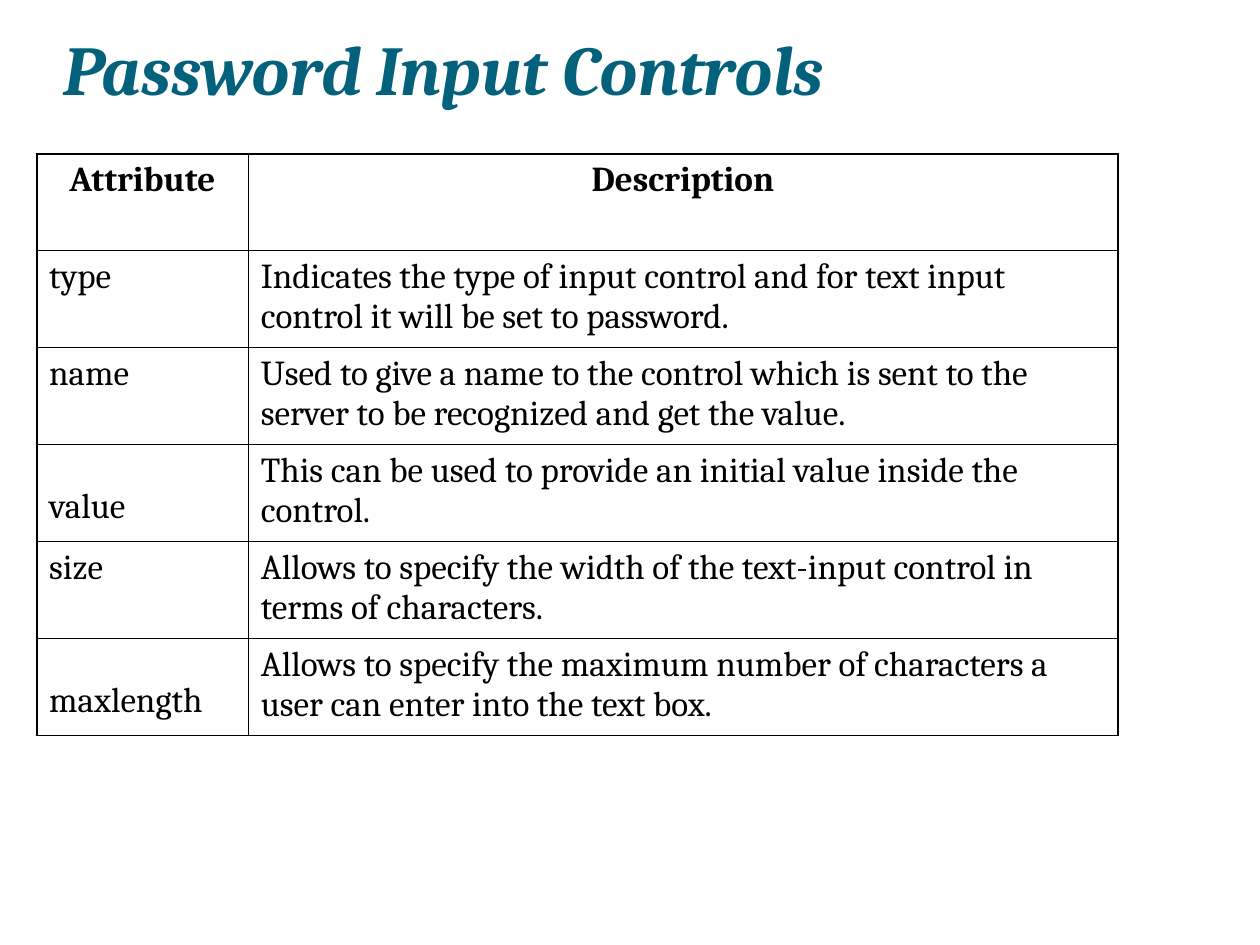
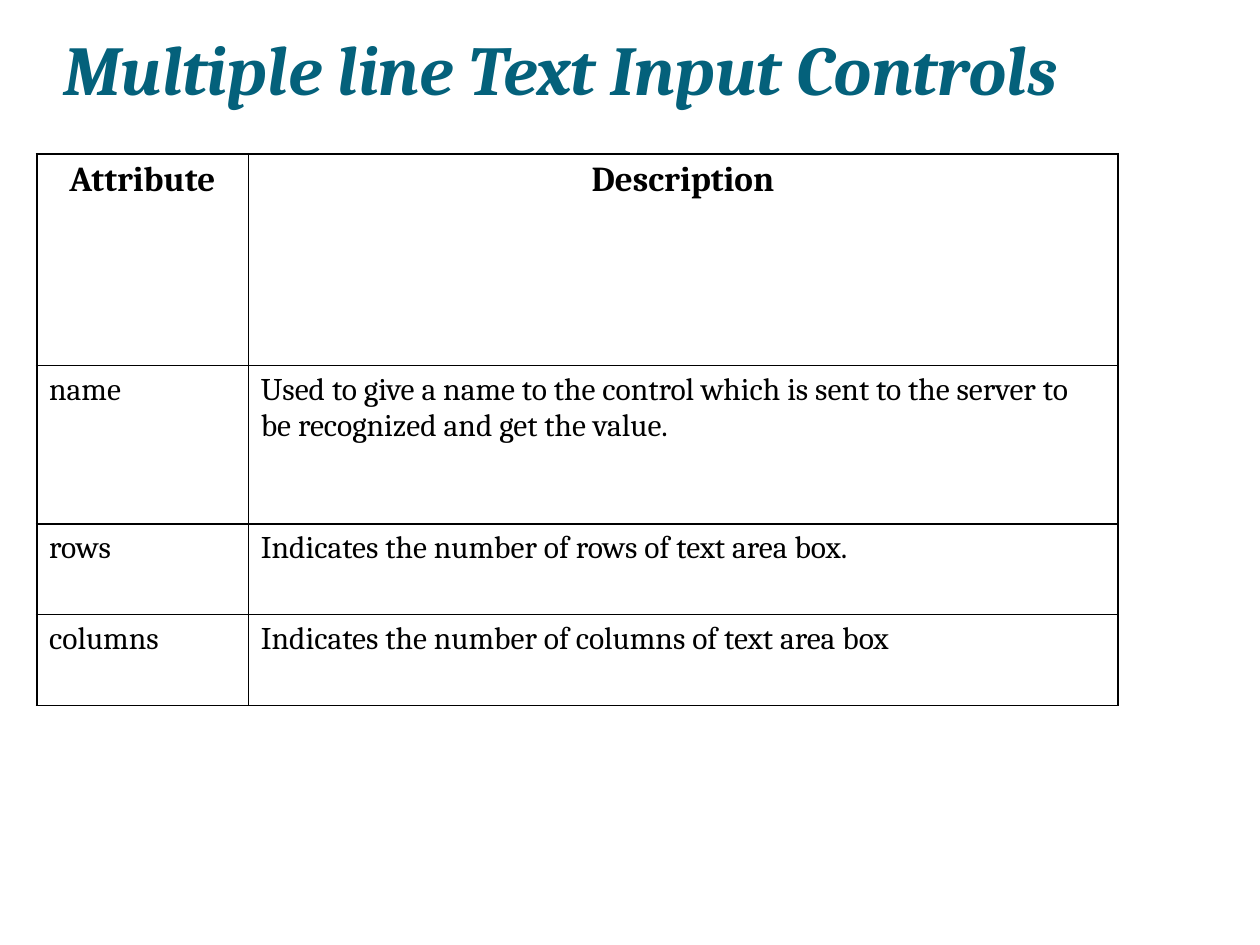
from dataclasses import dataclass

from lxml import etree
from pptx import Presentation
from pptx import util as u
from pptx.dml.color import RGBColor
from pptx.enum import text
from pptx.oxml import ns

# Content: "sunk" rows start their attribute one line lower,
# "heavy" lists the horizontal rules drawn thick (0 is the top edge)
HEADER = ("Attribute", "Description")
NAME_ROW = ("name", "Used to give a name to the control which is sent to the "
                    "server to be recognized and get the value.")
SLIDES = [
    {
        "title": "Password Input Controls",
        "rows": [
            ("type", "Indicates the type of input control and for text input "
                     "control it will be set to password."),
            NAME_ROW,
            ("value", "This can be used to provide an initial value inside the control."),
            ("size", "Allows to specify the width of the text-input control "
                     "in terms of characters."),
            ("maxlength", "Allows to specify the maximum number of characters "
                          "a user can enter into the text box."),
        ],
        "heights": [0.77] * 6,
        "body_size": 20,
        "sunk": {"value", "maxlength"},
        "heavy": {0},
    },
    {
        "title": "Multiple line Text Input Controls",
        "rows": [
            NAME_ROW,
            ("rows", "Indicates the number of rows of text area box."),
            ("columns", "Indicates the number of columns of text area box"),
        ],
        "heights": [1.68, 1.26, 0.72, 0.72],
        "body_size": 18,
        "sunk": set(),
        "heavy": {0, 2, 4},
    },
]


@dataclass(frozen=True)
class Theme:
    font: str = "Cambria"
    title_color: str = "04617B"
    ink: str = "000000"
    title_size: int = 40
    header_size: int = 20
    thin: float = 0.75
    thick: float = 1.25


THEME = Theme()
WIDTH, HEIGHT = 10, 7.5
TITLE_BOX = (0.5, 0.24, 8.99, 0.63)
TABLE_LEFT, TABLE_TOP = 0.29, 1.22
COLUMNS = (1.68, 6.9)
SUNK_MARGIN = 0.34


def write(p, words, size, color, bold=False, italic=False):
    r = p.add_run()
    r.text = words
    f = r.font
    f.name, f.size, f.bold, f.italic = THEME.font, u.Pt(size), bold, italic
    f.color.rgb = RGBColor.from_string(color)


def add_title(s, words):
    tf = s.shapes.add_textbox(*map(u.Inches, TITLE_BOX)).text_frame
    tf.word_wrap = True
    tf.vertical_anchor = text.MSO_ANCHOR.BOTTOM
    tf.margin_left = tf.margin_right = tf.margin_bottom = 0
    tf.margin_top = u.Inches(0.05)
    write(tf.paragraphs[0], words, THEME.title_size, THEME.title_color, True, True)


def set_borders(cell, widths):
    tc_pr = cell._tc.get_or_add_tcPr()
    for side, width in zip("LRTB", widths):
        ln = etree.SubElement(tc_pr, ns.qn(f"a:ln{side}"), w=str(u.Pt(width)))
        fill = etree.SubElement(ln, ns.qn("a:solidFill"))
        etree.SubElement(fill, ns.qn("a:srgbClr"), val=THEME.ink)


def add_attribute_table(s, content):
    rows, heights = [HEADER, *content["rows"]], content["heights"]
    table = s.shapes.add_table(
        len(rows), len(COLUMNS), u.Inches(TABLE_LEFT), u.Inches(TABLE_TOP),
        u.Inches(sum(COLUMNS)), u.Inches(sum(heights))).table
    table.first_row = table.horz_banding = False
    for column, width in zip(table.columns, COLUMNS):
        column.width = u.Inches(width)

    def rule(is_heavy):
        return THEME.thick if is_heavy else THEME.thin

    for i, row in enumerate(rows):
        table.rows[i].height = u.Inches(heights[i])
        for j, words in enumerate(row):
            cell = table.cell(i, j)
            set_borders(cell, (rule(j == 0), rule(j == len(COLUMNS) - 1),
                               rule(i in content["heavy"]),
                               rule(i + 1 in content["heavy"])))
            cell.fill.background()
            if words in content["sunk"]:
                cell.margin_top = u.Inches(SUNK_MARGIN)
            p = cell.text_frame.paragraphs[0]
            p.alignment = text.PP_ALIGN.LEFT if i else text.PP_ALIGN.CENTER
            size = content["body_size"] if i else THEME.header_size
            write(p, words, size, THEME.ink, bold=i == 0)


def main():
    prs = Presentation()
    prs.slide_width, prs.slide_height = u.Inches(WIDTH), u.Inches(HEIGHT)
    for content in SLIDES:
        s = prs.slides.add_slide(prs.slide_layouts[6])
        add_title(s, content["title"])
        add_attribute_table(s, content)
    prs.save("out.pptx")


if __name__ == "__main__":
    main()
